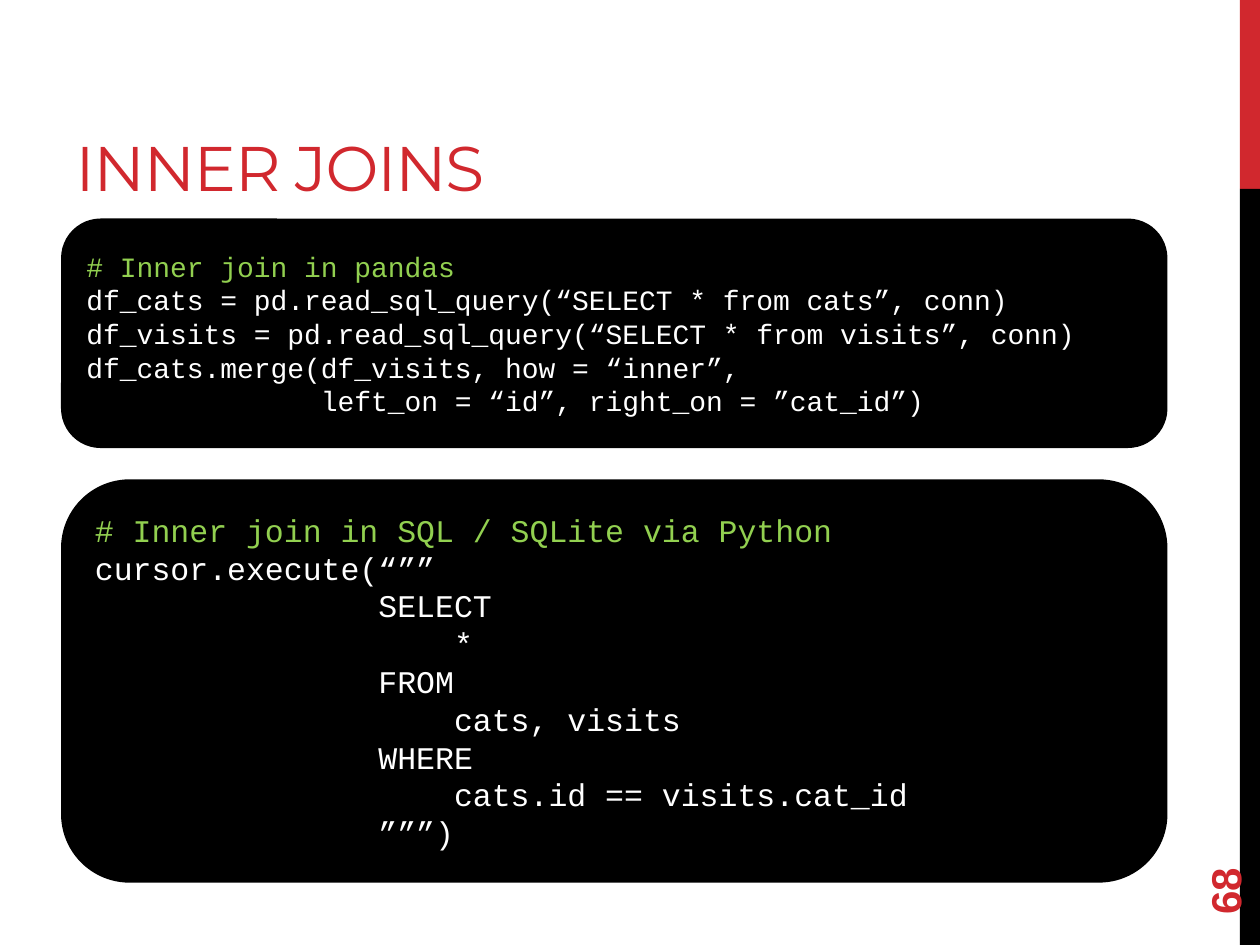
from pptx import Presentation
from pptx.dml.color import RGBColor as RGB
from pptx.enum.shapes import MSO_SHAPE as SHAPE
from pptx.enum.text import MSO_ANCHOR as ANCHOR, PP_ALIGN as ALIGN
from pptx.util import Inches, Pt

COLORS = {"red": "D1282E", "black": "000000", "white": "FFFFFF", "comment": "92D050"}

PANDAS_CODE = """# Inner join in pandas
df_cats = pd.read_sql_query(“SELECT * from cats”, conn)
df_visits = pd.read_sql_query(“SELECT * from visits”, conn)
df_cats.merge(df_visits, how = “inner”,
              left_on = “id”, right_on = ”cat_id”)"""

SQL_CODE = """# Inner join in SQL / SQLite via Python
cursor.execute(“””
               SELECT
                   *
               FROM
                   cats, visits
               WHERE
                   cats.id == visits.cat_id
               ”””)"""


class SlideBuilder:
    def __init__(self, prs):
        self.s = prs.slides.add_slide(prs.slide_layouts[5])  # title only

    def color(self, name):
        return RGB.from_string(COLORS[name])

    def place(self, sp, box):
        for name, value in zip(("left", "top", "width", "height"), box):
            setattr(sp, name, Inches(value))

    def add_text(self, p, text, color, **style):
        p.alignment = ALIGN.LEFT
        r = p.add_run()
        r.text = text
        for name, value in style.items():
            setattr(r.font, name, value)
        r.font.color.rgb = self.color(color)
        return r

    def shape(self, kind, box, fill):
        sp = self.s.shapes.add_shape(kind, *map(Inches, box))
        sp.shadow.inherit = False
        sp.fill.solid()
        sp.fill.fore_color.rgb = self.color(fill)
        return sp

    def bar(self, box, fill):
        self.shape(SHAPE.RECTANGLE, box, fill).line.fill.background()

    def title(self, text, box):
        sp = self.s.shapes.title
        self.place(sp, box)
        tf = sp.text_frame
        tf.vertical_anchor = ANCHOR.BOTTOM
        r = self.add_text(tf.paragraphs[0], text, "red", name="Montserrat", size=Pt(36))
        r._r.get_or_add_rPr().set("spc", "-60")

    def page_number(self, text, box):
        sp = self.s.shapes.add_textbox(*map(Inches, box))
        sp.rotation = 270
        tf = sp.text_frame
        tf.word_wrap = True
        tf.vertical_anchor = ANCHOR.MIDDLE
        self.add_text(tf.paragraphs[0], text, "red", name="Arial", size=Pt(24), bold=True)

    def code_panel(self, code, box, size):
        sp = self.shape(SHAPE.ROUNDED_RECTANGLE, box, "black")
        sp.line.color.rgb = self.color("black")
        sp.line.width = Pt(2.25)
        tf = sp.text_frame
        tf.word_wrap = True
        tf.vertical_anchor = ANCHOR.MIDDLE
        for i, line in enumerate(code.split("\n")):
            p = tf.add_paragraph() if i else tf.paragraphs[0]
            color = "comment" if line.startswith("#") else "white"
            self.add_text(p, line, color, name="Courier New", size=Pt(size))


def main():
    prs = Presentation()
    prs.slide_width, prs.slide_height = Inches(10), Inches(7.5)
    slide = SlideBuilder(prs)

    # Side stripe
    slide.bar((9.84, 0, 0.16, 1.5), "red")
    slide.bar((9.84, 1.5, 0.16, 6), "black")

    # Title and page number
    slide.title("INNER JOINS", (0.5, 0.17, 6.33, 1.5))
    slide.page_number("68", (9, 6.44, 1.44, 0.4))

    # Code panels
    slide.code_panel(PANDAS_CODE, (0.5, 1.75, 8.75, 1.79), 16)
    slide.code_panel(SQL_CODE, (0.5, 3.82, 8.75, 3.17), 18)

    prs.save("out.pptx")


if __name__ == "__main__":
    main()
